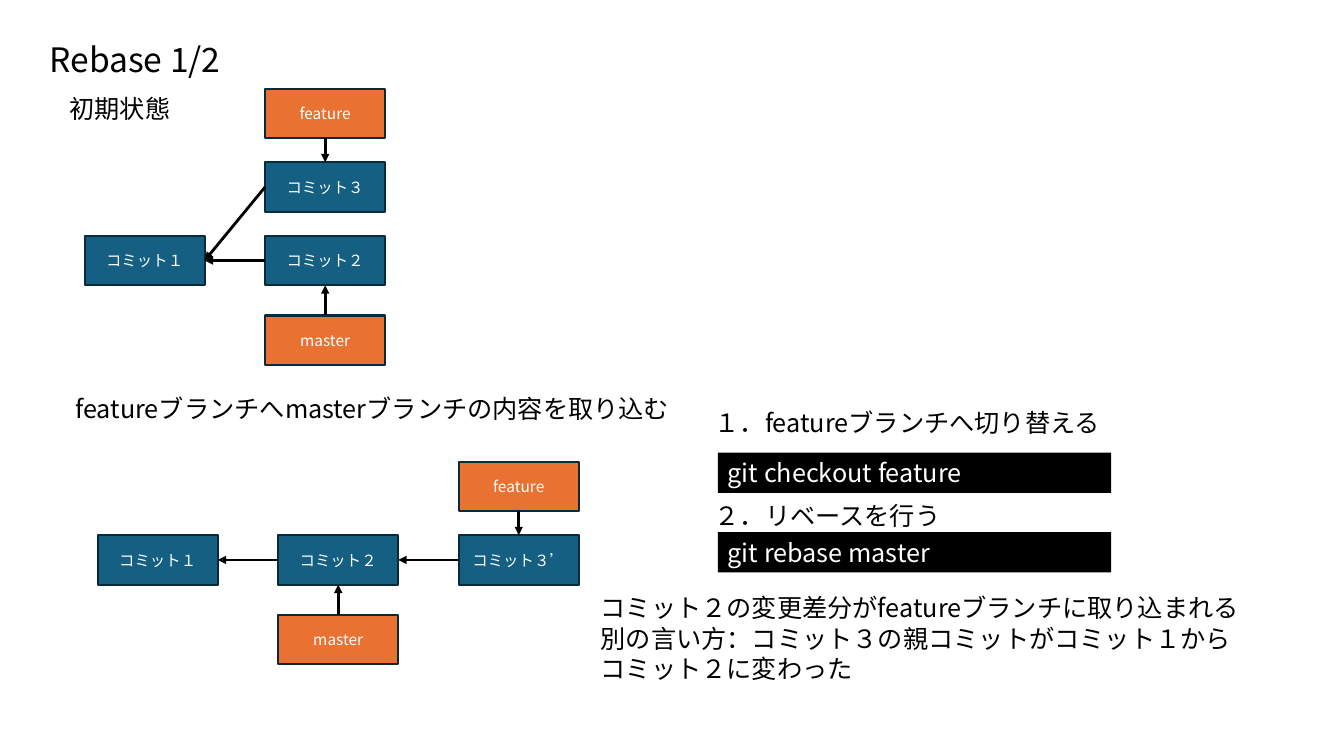
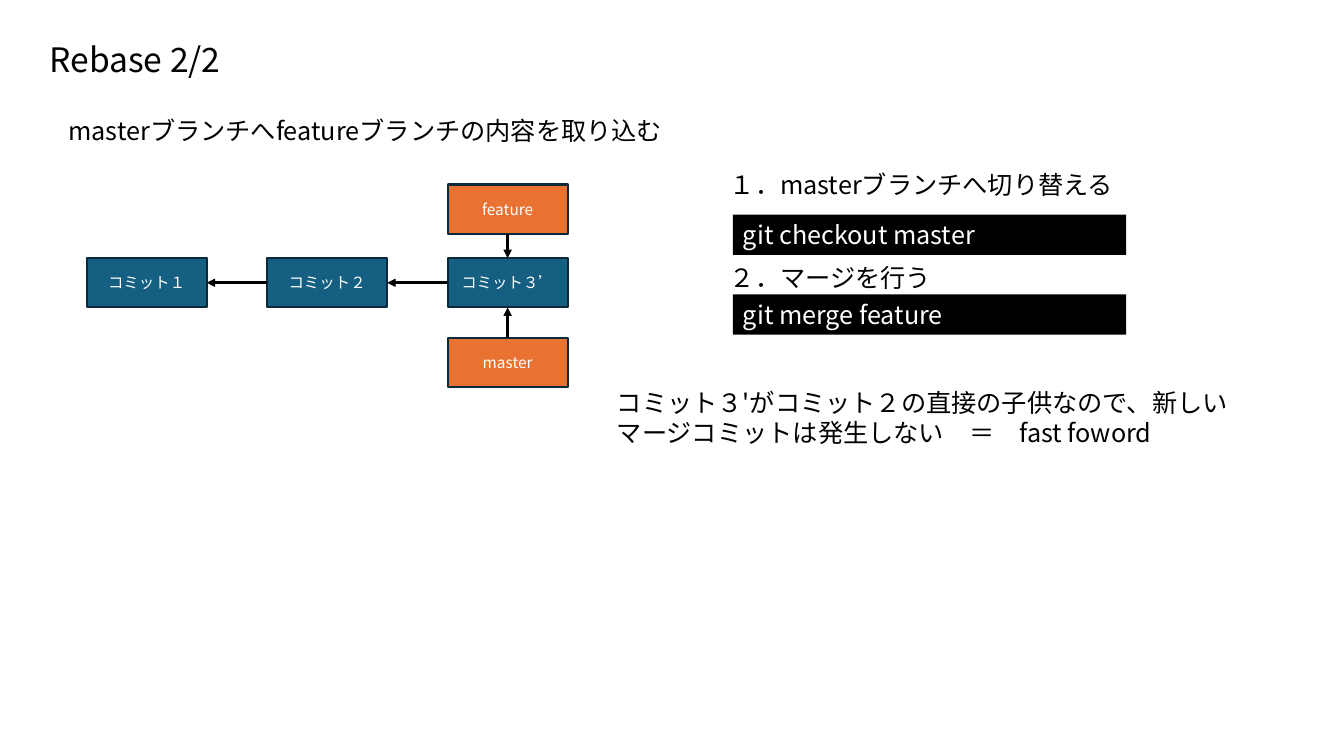
from dataclasses import dataclass
from lxml.etree import SubElement
from pptx import Presentation
from pptx.dml.color import RGBColor
from pptx.enum.shapes import MSO_CONNECTOR, MSO_SHAPE
from pptx.enum.text import MSO_ANCHOR, MSO_AUTO_SIZE, PP_ALIGN
from pptx.oxml.ns import qn
from pptx.shapes.autoshape import Shape
from pptx.slide import Slide
from pptx.text.text import TextFrame
from pptx.util import Inches, Pt


@dataclass(frozen=True)
class Theme:
    font: str = "Noto Sans CJK JP"
    ink: RGBColor = RGBColor(0x00, 0x00, 0x00)
    paper: RGBColor = RGBColor(0xFF, 0xFF, 0xFF)
    commit: RGBColor = RGBColor(0x15, 0x60, 0x82)
    branch: RGBColor = RGBColor(0xE9, 0x71, 0x32)
    outline: RGBColor = RGBColor(0x09, 0x2A, 0x39)
    title_size: float = 24
    body_size: float = 18
    node_size: float = 11
    outline_width: float = 1.5
    arrow_width: float = 2
    line_height: float = 1.2


@dataclass(frozen=True)
class Node:
    label: str
    column: int
    rise: float = 0
    is_branch: bool = False


@dataclass(frozen=True)
class Arrow:
    source: str
    target: str
    start_site: int
    end_site: int


@dataclass(frozen=True)
class Graph:
    left: float
    top: float
    nodes: list[Node]
    arrows: list[Arrow]


@dataclass(frozen=True)
class Caption:
    left: float
    top: float
    width: float
    height: float
    paragraphs: list[str]


@dataclass(frozen=True)
class Step:
    instruction: str
    command: str
    offset: float
    bar_gap: float


@dataclass(frozen=True)
class Page:
    title: str
    captions: list[Caption]
    graphs: list[Graph]
    steps_left: float
    steps_top: float
    steps: list[Step]


THEME = Theme()
TOP, LEFT, BOTTOM, RIGHT = range(4)
NODE_WIDTH, NODE_HEIGHT, COLUMN_PITCH = 1.19, 0.49, 1.79
ABOVE, BELOW = -0.73, 0.79
LINE_BOX = 0.4


def write(frame: TextFrame, paragraphs: list[str], size: float, color: RGBColor) -> None:
    """Fill a text frame with left-aligned paragraphs in the theme font."""
    frame.word_wrap = True
    for index, text in enumerate(paragraphs):
        paragraph = frame.paragraphs[0] if index == 0 else frame.add_paragraph()
        paragraph.alignment = PP_ALIGN.LEFT
        paragraph.line_spacing = Pt(size * THEME.line_height)
        run = paragraph.add_run()
        run.text = text
        run.font.size = Pt(size)
        run.font.name = THEME.font
        run.font.color.rgb = color
        SubElement(run.font._element, qn("a:ea"), typeface=THEME.font)


def fit_from_top(frame: TextFrame) -> None:
    """Anchor text at the top and let its box grow."""
    frame.vertical_anchor = MSO_ANCHOR.TOP
    frame.auto_size = MSO_AUTO_SIZE.SHAPE_TO_FIT_TEXT


def add_title(slide: Slide, title: str) -> None:
    """Place and format the title placeholder."""
    heading = slide.shapes.title
    heading.left, heading.top = Inches(0.39), Inches(0.34)
    heading.width, heading.height = Inches(2.08), Inches(0.5)
    write(heading.text_frame, [title], THEME.title_size, THEME.ink)
    fit_from_top(heading.text_frame)


def add_caption(slide: Slide, caption: Caption) -> None:
    """Add a plain block of body text."""
    block = slide.shapes.add_textbox(
        Inches(caption.left), Inches(caption.top), Inches(caption.width), Inches(caption.height)
    )
    write(block.text_frame, caption.paragraphs, THEME.body_size, THEME.ink)
    fit_from_top(block.text_frame)


def add_rectangle(
    slide: Slide, left: float, top: float, width: float, height: float, fill: RGBColor
) -> Shape:
    """Add a flat filled rectangle without an outline."""
    rectangle = slide.shapes.add_shape(
        MSO_SHAPE.RECTANGLE, Inches(left), Inches(top), Inches(width), Inches(height)
    )
    rectangle.shadow.inherit = False
    rectangle.fill.solid()
    rectangle.fill.fore_color.rgb = fill
    rectangle.line.fill.background()
    return rectangle


def add_node(slide: Slide, graph: Graph, node: Node) -> Shape:
    """Draw a commit or branch at its place in the graph."""
    box = add_rectangle(
        slide,
        graph.left + node.column * COLUMN_PITCH,
        graph.top + node.rise,
        NODE_WIDTH,
        NODE_HEIGHT,
        THEME.branch if node.is_branch else THEME.commit,
    )
    box.line.color.rgb = THEME.outline
    box.line.width = Pt(THEME.outline_width)
    write(box.text_frame, [node.label], THEME.node_size, THEME.paper)
    box.text_frame.vertical_anchor = MSO_ANCHOR.MIDDLE
    box.text_frame.paragraphs[0].alignment = PP_ALIGN.CENTER
    return box


def add_arrow(slide: Slide, source: Shape, target: Shape, arrow: Arrow) -> None:
    """Join two nodes with an arrow."""
    link = slide.shapes.add_connector(MSO_CONNECTOR.STRAIGHT, 0, 0, 0, 0)
    link.begin_connect(source, arrow.start_site)
    link.end_connect(target, arrow.end_site)
    link.line.color.rgb = THEME.ink
    link.line.width = Pt(THEME.arrow_width)
    SubElement(link.line._get_or_add_ln(), qn("a:tailEnd"), type="triangle")
    SubElement(link._element.spPr, qn("a:effectLst"))


def add_graph(slide: Slide, graph: Graph) -> None:
    """Draw all nodes of a commit graph and the arrows between them."""
    boxes = {node.label: add_node(slide, graph, node) for node in graph.nodes}
    for arrow in graph.arrows:
        add_arrow(slide, boxes[arrow.source], boxes[arrow.target], arrow)


def add_step(slide: Slide, page: Page, step: Step) -> None:
    """Add an instruction with its command bar."""
    top = page.steps_top + step.offset
    add_caption(slide, Caption(page.steps_left, top, 4.67, LINE_BOX, [step.instruction]))
    bar = add_rectangle(
        slide, page.steps_left + 0.13, top + step.bar_gap, 3.9, LINE_BOX, THEME.ink
    )
    write(bar.text_frame, [step.command], THEME.body_size, THEME.paper)
    fit_from_top(bar.text_frame)


def rebased_graph(left: float, top: float, master_column: int) -> Graph:
    """Describe the linear history with master at the given column."""
    commits = ["コミット１", "コミット２", "コミット３’"]
    nodes = [Node(label, column) for column, label in enumerate(commits)]
    nodes += [Node("feature", 2, ABOVE, True), Node("master", master_column, BELOW, True)]
    arrows = [Arrow(child, parent, LEFT, RIGHT) for parent, child in zip(commits, commits[1:])]
    arrows += [
        Arrow("feature", commits[2], BOTTOM, TOP),
        Arrow("master", commits[master_column], TOP, BOTTOM),
    ]
    return Graph(left, top, nodes, arrows)


def two_steps(first: tuple[str, str], second: tuple[str, str]) -> list[Step]:
    """Space two instructions and their commands."""
    return [Step(*first, offset=0, bar_gap=0.5), Step(*second, offset=0.92, bar_gap=0.37)]


INITIAL_GRAPH = Graph(
    0.84,
    2.34,
    [
        Node("コミット１", 0),
        Node("コミット２", 1),
        Node("コミット３", 1, ABOVE),
        Node("feature", 1, 2 * ABOVE, True),
        Node("master", 1, BELOW, True),
    ],
    [
        Arrow("コミット２", "コミット１", LEFT, RIGHT),
        Arrow("コミット３", "コミット１", LEFT, RIGHT),
        Arrow("feature", "コミット３", BOTTOM, TOP),
        Arrow("master", "コミット２", TOP, BOTTOM),
    ],
)

PAGES = [
    Page(
        "Rebase 1/2",
        [
            Caption(0.59, 0.88, 1.24, LINE_BOX, ["初期状態"]),
            Caption(0.65, 3.85, 6.67, LINE_BOX, ["featureブランチへmasterブランチの内容を取り込む"]),
            Caption(
                5.86,
                5.83,
                6.67,
                1.01,
                [
                    "コミット２の変更差分がfeatureブランチに取り込まれる",
                    "別の言い方：コミット３の親コミットがコミット１からコミット２に変わった",
                ],
            ),
        ],
        [INITIAL_GRAPH, rebased_graph(0.97, 5.31, master_column=1)],
        6.99,
        3.99,
        two_steps(
            ("１．featureブランチへ切り替える", "git checkout feature"),
            ("２．リベースを行う", "git rebase master"),
        ),
    ),
    Page(
        "Rebase 2/2",
        [
            Caption(0.58, 1.09, 6.67, LINE_BOX, ["masterブランチへfeatureブランチの内容を取り込む"]),
            Caption(
                6.02,
                3.79,
                6.67,
                0.71,
                ["コミット３'がコミット２の直接の子供なので、新しいマージコミットは発生しない　＝　fast foword"],
            ),
        ],
        [rebased_graph(0.86, 2.56, master_column=2)],
        7.14,
        1.63,
        two_steps(
            ("１．masterブランチへ切り替える", "git checkout master"),
            ("２．マージを行う", "git merge feature"),
        ),
    ),
]


def main() -> None:
    """Build and save the presentation."""
    deck = Presentation()
    deck.slide_width, deck.slide_height = Inches(13.33), Inches(7.5)
    for page in PAGES:
        slide = deck.slides.add_slide(deck.slide_layouts[5])
        add_title(slide, page.title)
        for graph in page.graphs:
            add_graph(slide, graph)
        for caption in page.captions:
            add_caption(slide, caption)
        for step in page.steps:
            add_step(slide, page, step)
    deck.save("out.pptx")


if __name__ == "__main__":
    main()
